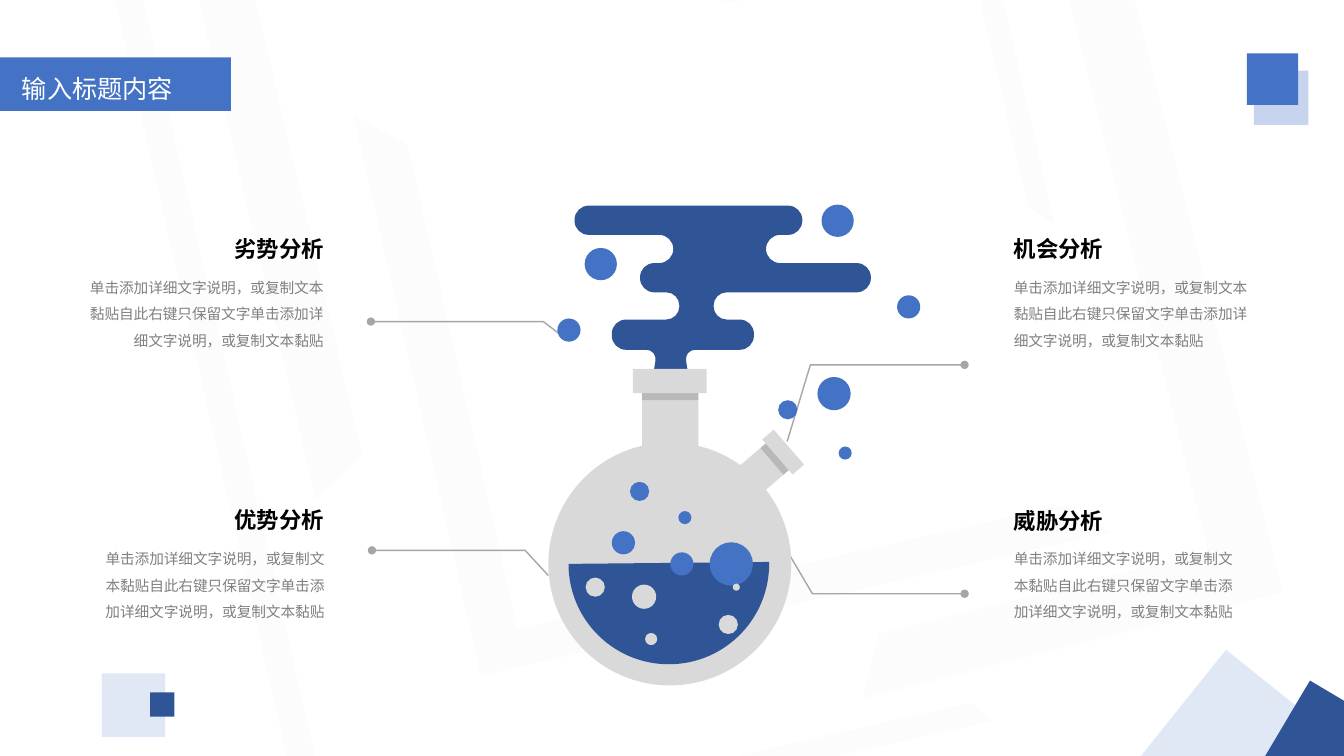
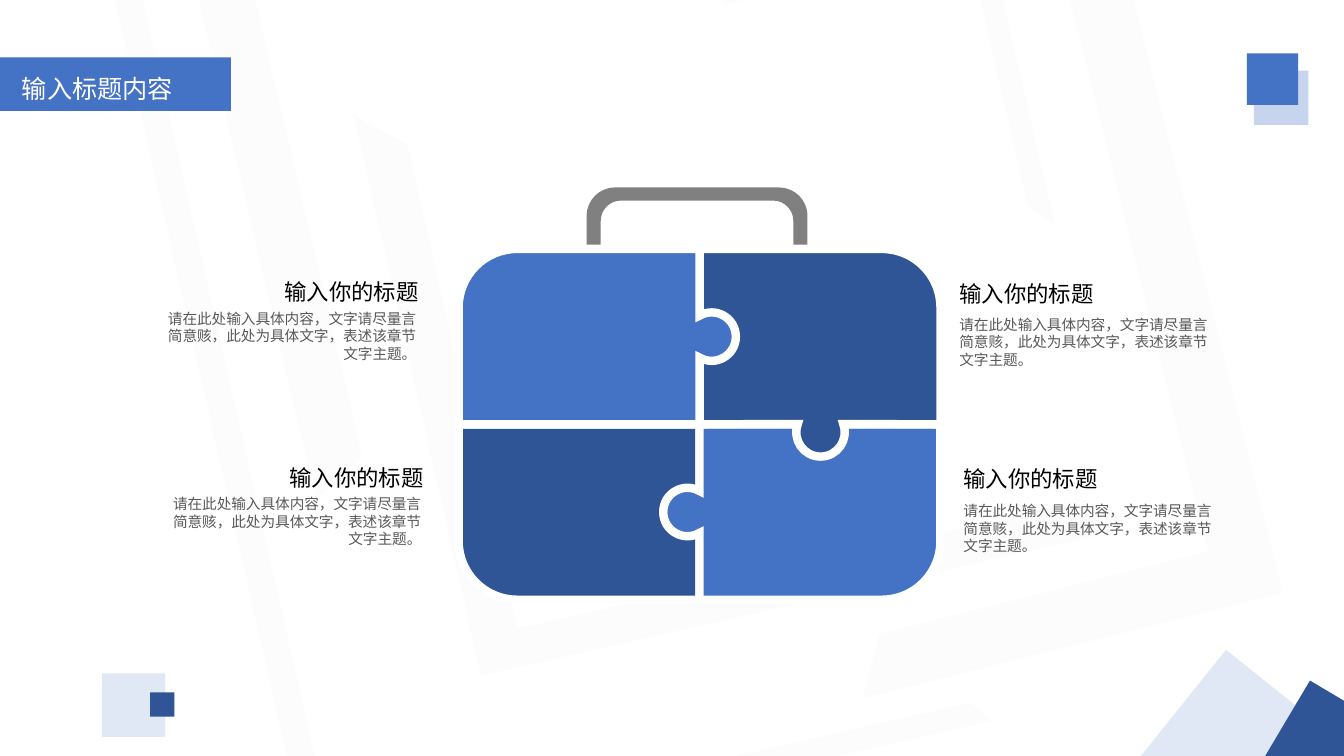
import math

import lxml.etree
import pptx
import pptx.dml.color
import pptx.enum.shapes
import pptx.enum.text
import pptx.oxml.ns
import pptx.util

Inches = pptx.util.Inches
qn = pptx.oxml.ns.qn
SHAPE = pptx.enum.shapes.MSO_SHAPE
ALIGN = pptx.enum.text.PP_ALIGN
AUTO_SIZE = pptx.enum.text.MSO_AUTO_SIZE

FONT = "Noto Sans CJK SC"
BLUE, NAVY, PALE = "4472C4", "2F5597", "C7D4ED"
SILVER, MID_GRAY, DARK_GRAY = "D9D9D9", "A6A6A6", "808080"
BODY_GRAY, BLACK, WHITE = "595959", "000000", "FFFFFF"


def paint(fill, color, opacity=100):
    """Make a shape, line or font fill solid; opacity is in percent."""
    fill.solid()
    fill.fore_color.rgb = pptx.dml.color.RGBColor.from_string(color)
    if opacity < 100:
        color_element = fill._xPr.find(qn("a:solidFill"))[0]
        lxml.etree.SubElement(color_element, qn("a:alpha"), val=str(opacity * 1000))


def add_shape(slide, kind, box, color, opacity=100, rotation=0, adjustments=()):
    """Add a preset shape without outline or shadow; box in inches, adjustments in percent."""
    shape = slide.shapes.add_shape(kind, *map(Inches, box))
    for index, percent in enumerate(adjustments):
        shape.adjustments[index] = percent / 100
    shape.rotation = rotation
    shape.shadow.inherit = False
    paint(shape.fill, color, opacity)
    shape.line.fill.background()
    return shape


presentation = pptx.Presentation()
presentation.slide_width = Inches(40 / 3)
presentation.slide_height = Inches(7.5)
blank_layout = presentation.slide_layouts[6]
flask_slide = presentation.slides.add_slide(blank_layout)
briefcase_slide = presentation.slides.add_slide(blank_layout)

# Shared decoration: faint frames, title band and corner squares
frames = [  # box, rotation, adjustments, mirrored
    ((4.42, 0, 5.7, 6.42), 257.2, (8, 6.5), False),
    ((0.81, -0.06, 9.28, 6.9), 257.2, (3.9, 3.2), False),
    ((7.24, -0.34, 3.01, 2.83), 77, (7.7, 5.2), False),
    ((2.37, -1.66, 9.45, 5.61), 346.8, (9.1, 9.7), False),
    ((5.83, 0.5, 7.74, 4.3), 75.9, (14.4, 13.4), True),
]
squares = [  # left, top, side, color, opacity, rotation
    (12.44, 0.7, 0.54, PALE, 100, 0),
    (11.53, 6.75, 1.5, PALE, 53, 308.7),
    (1.01, 6.68, 0.63, PALE, 53, 0),
    (1.49, 6.87, 0.24, NAVY, 100, 0),
    (12.37, 0.53, 0.51, BLUE, 100, 0),
    (12.7, 6.92, 0.91, NAVY, 100, 300.7),
]
texts = []  # slide, box, text, size, color, alignment, bold, line spacing, auto size
for slide in (flask_slide, briefcase_slide):
    for box, rotation, adjustments, mirrored in frames:
        frame = add_shape(slide, SHAPE.HALF_FRAME, box, MID_GRAY, 3, rotation, adjustments)
        if mirrored:
            frame.element.spPr.xfrm.set("flipH", "1")
    add_shape(slide, SHAPE.PENTAGON, (0, 0.57, 2.29, 0.53), BLUE, adjustments=(0,))
    for left, top, side, color, opacity, rotation in squares:
        add_shape(slide, SHAPE.RECTANGLE, (left, top, side, side), color, opacity, rotation)
    texts.append((slide, (0.12, 0.68, 2.17, 0.43), "输入标题内容", 18, WHITE,
                  ALIGN.JUSTIFY, False, None, AUTO_SIZE.NONE))

# Callout lines, each ending in a dot beside its text
callouts = [
    [(5.64, 3.38), (5.39, 3.19), (3.68, 3.19)],
    [(5.44, 5.71), (5.21, 5.46), (3.69, 5.46)],
    [(7.81, 4.38), (8.04, 3.62), (9.57, 3.62)],
    [(7.83, 5.5), (8.06, 5.89), (9.57, 5.89)],
]
for points in callouts:
    start, *rest = [(Inches(x), Inches(y)) for x, y in points]
    builder = flask_slide.shapes.build_freeform(*start)
    builder.add_line_segments(rest, close=False)
    callout = builder.convert_to_shape()
    callout.shadow.inherit = False
    callout.fill.background()
    paint(callout.line.fill, MID_GRAY)
    callout.line.width = pptx.util.Pt(1)
    line_element = callout.element.spPr.find(qn("a:ln"))
    lxml.etree.SubElement(line_element, qn("a:tailEnd"), type="oval")

# The flask body lies behind the smoke
add_shape(flask_slide, SHAPE.OVAL, (5.44, 4.39, 2.41, 2.41), SILVER)

# Outlines, clockwise. A corner is (x, y, radius);
# a puzzle knob is (centre x, centre y, heading, half sweep) in degrees.
puff = 0.14
bend = 0.58
knob_radius = 0.24
smoke = [
    (5.7, 2.04, puff), (7.96, 2.04, puff), (7.96, 2.33, puff), (7.6, 2.33, puff),
    (7.6, 2.61, puff), (8.64, 2.61, puff), (8.64, 2.9, puff), (7.08, 2.9, 0.13),
    (7.08, 3.17, 0.13), (7.48, 3.17, puff), (7.48, 3.47, puff), (6.79, 3.47, 0.11),
    (6.82, 3.66, 0), (6.49, 3.66, 0), (6.52, 3.47, 0.11), (6.07, 3.47, puff),
    (6.07, 3.17, puff), (6.74, 3.17, 0.13), (6.74, 2.9, 0.13), (6.35, 2.9, puff),
    (6.35, 2.61, puff), (6.68, 2.61, puff), (6.68, 2.33, puff), (5.7, 2.33, puff),
]
handle = [
    (5.82, 3.48, 0), (5.82, 1.86, 0.28), (8.01, 1.86, 0.28), (8.01, 3.48, 0),
    (7.87, 3.48, 0), (7.87, 1.99, 0.2), (5.96, 1.99, 0.2), (5.96, 3.48, 0),
]
left, center, right = 4.55, 6.94, 9.33
top, middle, bottom = 2.47, 4.21, 5.95
bottom_left = [(left, middle, 0), (center, middle, 0), (center, bottom, 0),
               (left, bottom, bend)]
bottom_right = [(center, middle, 0), (right, middle, 0), (right, bottom, bend),
                (center, bottom, 0), (6.82, 5.08, 180, 120)]
top_right = [(center, top, 0), (right, top, bend), (right, middle, 0),
             (8.14, 4.29, 90, 110), (center, middle, 0)]
top_left = [(left, top, bend), (center, top, 0), (7.06, 3.34, 0, 120),
            (center, middle, 0), (left, middle, 0)]
outlines = [  # slide, corners, color, white border
    (flask_slide, smoke, NAVY, False),
    (briefcase_slide, handle, DARK_GRAY, False),
    (briefcase_slide, bottom_left, NAVY, True),
    (briefcase_slide, bottom_right, BLUE, True),
    (briefcase_slide, top_right, NAVY, True),
    (briefcase_slide, top_left, BLUE, True),
]
for slide, corners, color, bordered in outlines:
    points = []
    curve_starts = []  # where two control points and an end point form a curve
    for index, (x, y, *curve) in enumerate(corners):
        if len(curve) == 2:
            heading, sweep = map(math.radians, curve)
            reach = 4 / 3 * math.tan(sweep / 4)
            for begin, end in ((heading - sweep, heading), (heading, heading + sweep)):
                if begin < heading:
                    points.append((x + knob_radius * math.cos(begin),
                                   y + knob_radius * math.sin(begin)))
                curve_starts.append(len(points))
                for angle, pull in ((begin, reach), (end, -reach), (end, 0)):
                    points.append(
                        (x + knob_radius * (math.cos(angle) - pull * math.sin(angle)),
                         y + knob_radius * (math.sin(angle) + pull * math.cos(angle))))
        elif curve[0] == 0:
            points.append((x, y))
        else:
            before, after = corners[index - 1], corners[(index + 1) % len(corners)]
            curve_starts.append(len(points) + 1)
            for neighbor, share in ((before, 1), (before, 0.45), (after, 0.45), (after, 1)):
                part = curve[0] * share / math.dist(neighbor[:2], (x, y))
                points.append((x + (neighbor[0] - x) * part, y + (neighbor[1] - y) * part))
    start, *rest = [(Inches(x), Inches(y)) for x, y in points]
    builder = slide.shapes.build_freeform(*start)
    builder.add_line_segments(rest, close=True)
    outline = builder.convert_to_shape()
    segments = list(outline.element.spPr.iter(qn("a:lnTo")))
    for first in curve_starts:
        curve_element = lxml.etree.Element(qn("a:cubicBezTo"))
        segments[first - 1].addprevious(curve_element)
        for segment in segments[first - 1:first + 2]:
            curve_element.append(segment[0])
            segment.getparent().remove(segment)
    outline.shadow.inherit = False
    paint(outline.fill, color)
    if bordered:
        paint(outline.line.fill, WHITE)
        outline.line.width = pptx.util.Pt(6)
        line_element = outline.element.spPr.find(qn("a:ln"))
        lxml.etree.SubElement(line_element, qn("a:miter"), lim="800000")
    else:
        outline.line.fill.background()

# Bubbles lie around the necks and over the liquid
bubbles = {  # left, top, diameter
    BLUE: [
        (8.15, 2.03, 0.32), (5.8, 2.46, 0.32), (5.53, 3.16, 0.23), (8.9, 2.93, 0.23),
        (8.11, 3.74, 0.33), (8.32, 4.43, 0.13), (7.72, 3.97, 0.19), (6.25, 4.78, 0.19),
        (6.73, 5.07, 0.13), (6.07, 5.27, 0.23), (6.65, 5.48, 0.23), (7.04, 5.38, 0.43),
    ],
    SILVER: [
        (6.27, 5.8, 0.24), (5.81, 5.73, 0.19), (7.13, 6.1, 0.19), (6.4, 6.28, 0.12),
        (7.27, 5.79, 0.07),
    ],
}
add_shape(flask_slide, SHAPE.RECTANGLE, (6.37, 3.9, 0.56, 0.53), SILVER)
add_shape(flask_slide, SHAPE.RECTANGLE, (7.41, 4.47, 0.35, 0.34), SILVER, rotation=49.2)
add_shape(flask_slide, SHAPE.CHORD, (5.64, 4.6, 1.99, 1.99), NAVY,
          adjustments=(21530.7, 10802.4))
for color, places in bubbles.items():
    for x, y, diameter in places:
        add_shape(flask_slide, SHAPE.OVAL, (x, y, diameter, diameter), color)
for box, color, opacity, rotation in [
    ((6.37, 3.9, 0.56, 0.07), BLACK, 15, 0),
    ((7.51, 4.52, 0.35, 0.07), BLACK, 15, 49.2),
    ((7.54, 4.41, 0.46, 0.15), SILVER, 100, 49.2),
    ((6.28, 3.66, 0.73, 0.24), SILVER, 100, 0),
]:
    add_shape(flask_slide, SHAPE.RECTANGLE, box, color, opacity, rotation)

# Headings with their descriptions
flask_body = "单击添加详细文字说明，或复制文本黏贴自此右键只保留文字单击添加详细文字说明，或复制文本黏贴"
briefcase_body = "请在此处输入具体内容，文字请尽量言简意赅，此处为具体文字，表述该章节文字主题。"
for heading, x, y, body_x, body_y, body_width, align in [
    ("优势分析", 1.34, 4.97, 0.82, 5.32, 2.5, ALIGN.RIGHT),
    ("劣势分析", 1.34, 2.28, 0.76, 2.63, 2.55, ALIGN.RIGHT),
    ("机会分析", 9.96, 2.28, 9.96, 2.63, 2.6, ALIGN.LEFT),
    ("威胁分析", 9.96, 4.98, 9.96, 5.32, 2.5, ALIGN.LEFT),
]:
    texts.append((flask_slide, (x, y, 1.97, 0.37), heading, 16, BLACK,
                  align, True, None, AUTO_SIZE.SHAPE_TO_FIT_TEXT))
    texts.append((flask_slide, (body_x, body_y, body_width, 0.86), flask_body, 10.5,
                  DARK_GRAY, align, False, 1.5, AUTO_SIZE.SHAPE_TO_FIT_TEXT))
for x, y, body_x, body_y, align in [
    (2.7, 2.71, 1.53, 3.02, ALIGN.RIGHT),
    (2.75, 4.56, 1.58, 4.86, ALIGN.RIGHT),
    (9.42, 2.73, 9.42, 3.08, ALIGN.LEFT),
    (9.46, 4.57, 9.46, 4.93, ALIGN.LEFT),
]:
    texts.append((briefcase_slide, (x, y, 1.55, 0.37), "输入你的标题", 16, BLACK,
                  align, False, None, AUTO_SIZE.SHAPE_TO_FIT_TEXT))
    texts.append((briefcase_slide, (body_x, body_y, 2.7, 0.63), briefcase_body, 10.5,
                  BODY_GRAY, align, False, None, AUTO_SIZE.SHAPE_TO_FIT_TEXT))

for slide, box, text, size, color, align, bold, spacing, auto_size in texts:
    text_frame = slide.shapes.add_textbox(*map(Inches, box)).text_frame
    text_frame.word_wrap = True
    text_frame.auto_size = auto_size
    paragraph = text_frame.paragraphs[0]
    paragraph.text = text
    paragraph.alignment = align
    paragraph.line_spacing = spacing
    paragraph.font.size = pptx.util.Pt(size)
    paragraph.font.bold = bold
    paragraph.font.name = FONT
    paint(paragraph.font.fill, color)
    font_element = paragraph._p.pPr.find(qn("a:defRPr"))
    lxml.etree.SubElement(font_element, qn("a:ea"), typeface=FONT)

presentation.save("out.pptx")
